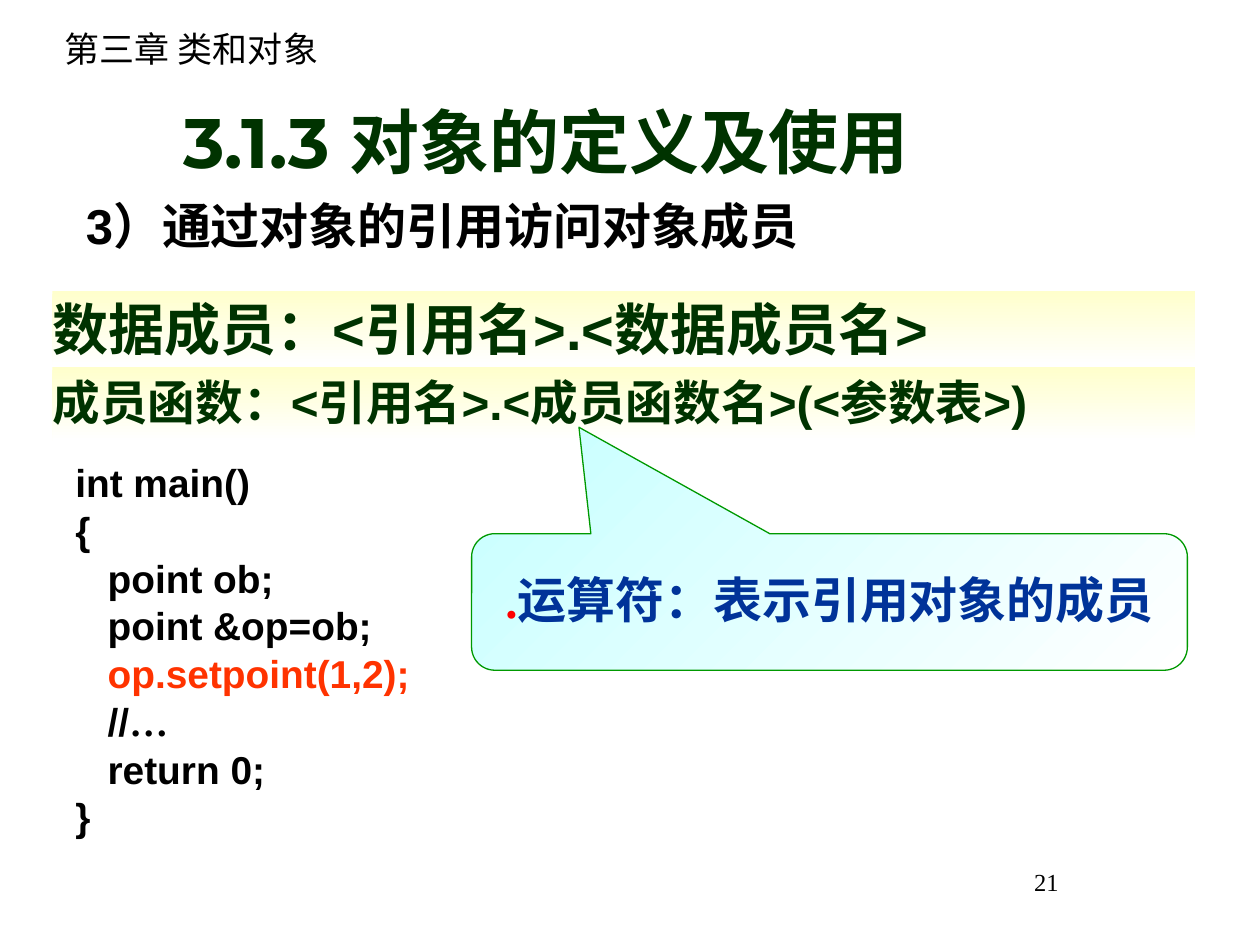
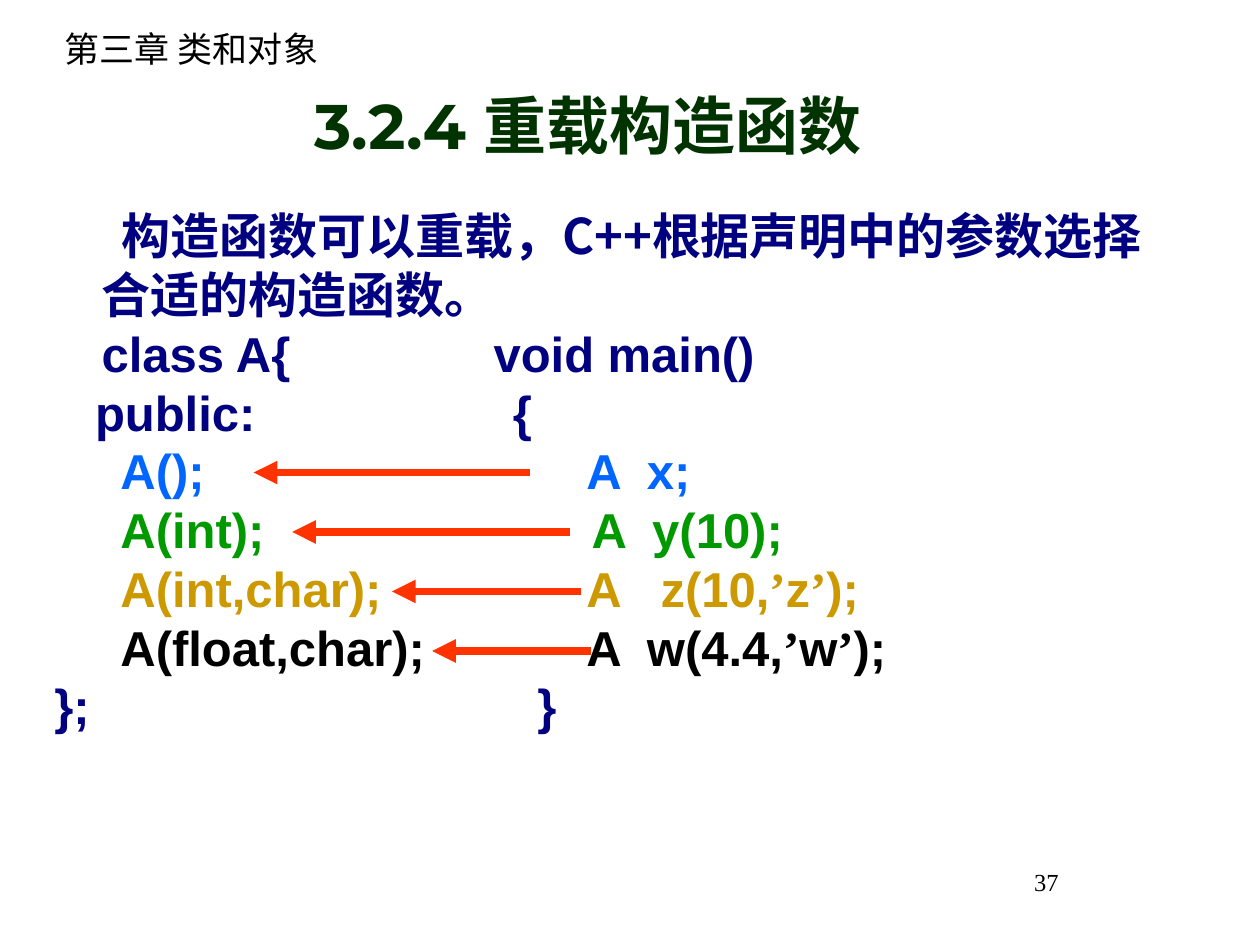
from dataclasses import dataclass

from lxml import etree
from pptx import Presentation
from pptx.dml.color import RGBColor
from pptx.enum.shapes import MSO_CONNECTOR as CONN, MSO_SHAPE as SHAPE
from pptx.enum.text import MSO_ANCHOR as ANCHOR, MSO_AUTO_SIZE as AUTO, PP_ALIGN as ALIGN
from pptx.oxml.ns import qn
from pptx.util import Pt


@dataclass(frozen=True)
class Theme:
    # Fonts
    latin: str = "Arial"
    serif: str = "Times New Roman"
    cjk: str = "Noto Sans CJK SC"
    display: str = "Montserrat"
    # Colours
    black: str = "000000"
    white: str = "FFFFFF"
    dark_green: str = "003300"
    green: str = "009900"
    navy: str = "000080"
    blue: str = "003399"
    sky: str = "0066FF"
    gold: str = "CC9900"
    orange: str = "FF3300"
    red: str = "FF0000"
    cream: str = "FFFFCC"
    aqua: str = "CCFFFF"
    # Type sizes and line height
    number: float = 14
    chapter: float = 20
    code: float = 22.2
    function_rule: float = 27.2
    body: float = 28
    data_rule: float = 32
    line: float = 1.2


T = Theme()


# ---- Text ----
def write(tf, *parts, size=T.body, font=T.latin, color=T.black, bold=True,
          align=ALIGN.LEFT, leading=1.0, before=0, left=0, indent=0):
    """Add a paragraph; a part is a string or (string, {font, color})."""
    first = tf.paragraphs[0]
    p = tf.add_paragraph() if first.runs else first
    p.alignment = align
    p.line_spacing = Pt(round(size * T.line * leading, 1))
    p.space_before = Pt(before if p is not first else 0)
    pPr = p._p.get_or_add_pPr()
    pPr.set("marL", str(Pt(left)))
    pPr.set("indent", str(Pt(indent)))
    for part in parts:
        text, fmt = (part, {}) if isinstance(part, str) else part
        face = fmt.get("font", font)
        r = p.add_run()
        r.text = text
        r.font.size, r.font.bold, r.font.name = Pt(size), bold, face
        r.font.color.rgb = RGBColor.from_string(fmt.get("color", color))
        ea = etree.SubElement(r._r.get_or_add_rPr(), qn("a:ea"))
        ea.set("typeface", face if face == T.serif else T.cjk)
    return p


def serif(text):
    return text, {"font": T.serif}


def set_frame(tf, anchor=ANCHOR.TOP, inset=(7.2, 3.6), wrap=True):
    tf.word_wrap, tf.auto_size, tf.vertical_anchor = wrap, AUTO.NONE, anchor
    tf.margin_left = tf.margin_right = Pt(inset[0])
    tf.margin_top = tf.margin_bottom = Pt(inset[1])
    return tf


def add_text(slide, x, y, w, h):
    return set_frame(slide.shapes.add_textbox(Pt(x), Pt(y), Pt(w), Pt(h)).text_frame)


# ---- Shapes ----
def add_gradient_shape(slide, kind, x, y, w, h, start, angle, line=None):
    sp = slide.shapes.add_shape(kind, Pt(x), Pt(y), Pt(w), Pt(h))
    sp.shadow.inherit = False
    sp.fill.gradient()
    sp.fill.gradient_angle = angle
    for stop, color, pos in zip(sp.fill.gradient_stops, (start, T.white), (0, 1)):
        stop.color.rgb = RGBColor.from_string(color)
        stop.position = pos
    if line:
        sp.line.color.rgb = RGBColor.from_string(line)
        sp.line.width = Pt(0.75)
    else:
        sp.line.fill.background()
    return sp


def add_rule_band(slide, y, text, size, leading=1.0):
    sp = add_gradient_shape(slide, SHAPE.RECTANGLE, 30, y, 653, 42, T.cream, 270)
    tf = set_frame(sp.text_frame, ANCHOR.MIDDLE, inset=(0, 0))
    write(tf, text, size=size, color=T.dark_green, leading=leading)


def add_arrow(slide, x1, x2, y):
    c = slide.shapes.add_connector(CONN.STRAIGHT, Pt(x1), Pt(y), Pt(x2), Pt(y))
    c.line.color.rgb = RGBColor.from_string(T.orange)
    c.line.width = Pt(4.5)
    etree.SubElement(c.line._get_or_add_ln(), qn("a:tailEnd"), type="triangle")
    etree.SubElement(c._element.spPr, qn("a:effectLst"))


# ---- Shared slide frame ----
def add_slide(prs, title, number, size, x, y, w, h):
    slide = prs.slides.add_slide(prs.slide_layouts[5])
    write(add_text(slide, 30, 12, 342, 32), "第三章 类和对象",
          size=T.chapter, font=T.cjk, bold=False)
    write(add_text(slide, 492, 492, 120, 36), str(number),
          size=T.number, font=T.serif, bold=False, align=ALIGN.RIGHT)
    sp = slide.shapes.title
    sp.left, sp.top, sp.width, sp.height = Pt(x), Pt(y), Pt(w), Pt(h)
    write(set_frame(sp.text_frame, ANCHOR.BOTTOM), title, size=size,
          font=T.display, color=T.dark_green, align=ALIGN.CENTER)
    return slide


def build_reference_slide(prs):
    slide = add_slide(prs, "3.1.3 对象的定义及使用", 21, 40, 18, 52.5, 588, 55.5)
    write(add_text(slide, 42, 108, 545, 41), "3）通过对象的引用访问对象成员")

    # Code sample
    code = add_text(slide, 36, 264, 606, 222)
    lines = [
        ["int main()"],
        ["{"],
        ["   point ob;"],
        ["   point &op=ob;"],
        ["   ", ("op.setpoint(1,2);", {"color": T.orange})],
        ["   //", serif("…")],
        ["   return 0;"],
        ["}"],
    ]
    for parts in lines:
        write(code, *parts, size=T.code, leading=0.8, before=6)

    # Access rules
    add_rule_band(slide, 166.5, "数据成员：<引用名>.<数据成员名>", T.data_rule)
    add_rule_band(slide, 210, "成员函数：<引用名>.<成员函数名>(<参数表>)",
                  T.function_rule, leading=0.9)

    # Operator callout
    sp = add_gradient_shape(slide, SHAPE.ROUNDED_RECTANGULAR_CALLOUT,
                            269.5, 305, 409, 78, T.aqua, 315, T.green)
    for i, value in enumerate((-0.35, -1.28, 0.17)):
        sp.adjustments[i] = value
    tf = set_frame(sp.text_frame, ANCHOR.MIDDLE, wrap=False)
    write(tf, (".", {"font": T.serif, "color": T.red}), "运算符：表示引用对象的成员",
          font=T.cjk, color=T.blue, align=ALIGN.CENTER, leading=0.9)


def build_overload_slide(prs):
    slide = add_slide(prs, "3.2.4 重载构造函数", 37, 36, 0, 45, 672, 51)
    write(add_text(slide, 24, 114, 636, 75),
          "构造函数可以重载，C++根据声明中的参数选择合适的构造函数。",
          font=T.cjk, color=T.navy, left=27, indent=11.5)

    # Class on the left, calls on the right, row by row
    class_code = add_text(slide, 24, 181.2, 244, 243)
    call_code = add_text(slide, 275, 181.2, 385, 243)
    # Colour, class indent, class line, call indent, call parts
    rows = [
        (T.navy, 27, "class A{", 0, ["void main()"]),
        (T.navy, 0, "   public:", 11, ["{"]),
        (T.sky, 0, "     A();", 53, ["A  x;"]),
        (T.green, 0, "     A(int);", 56, ["A  y(10);"]),
        (T.gold, 0, "     A(int,char);", 53,
         ["A   z(10,", serif("’"), "z", serif("’"), ");"]),
        (T.black, 0, "     A(float,char);", 53,
         ["A  w(4.4,", serif("’"), "w", serif("’"), ");"]),
        (T.navy, 0, "};", 25, ["}"]),
    ]
    for color, class_indent, class_line, call_indent, call in rows:
        write(class_code, class_line, color=color, left=class_indent)
        write(call_code, *call, color=color, left=call_indent)

    # Arrows from each call to its constructor
    for i, (x1, x2) in enumerate([(303, 145), (326, 167), (332, 224), (338, 247)]):
        add_arrow(slide, x1, x2, 270 + 34 * i)


def main():
    prs = Presentation()
    prs.slide_width, prs.slide_height = Pt(720), Pt(540)
    build_reference_slide(prs)
    build_overload_slide(prs)
    prs.save("out.pptx")


if __name__ == "__main__":
    main()
